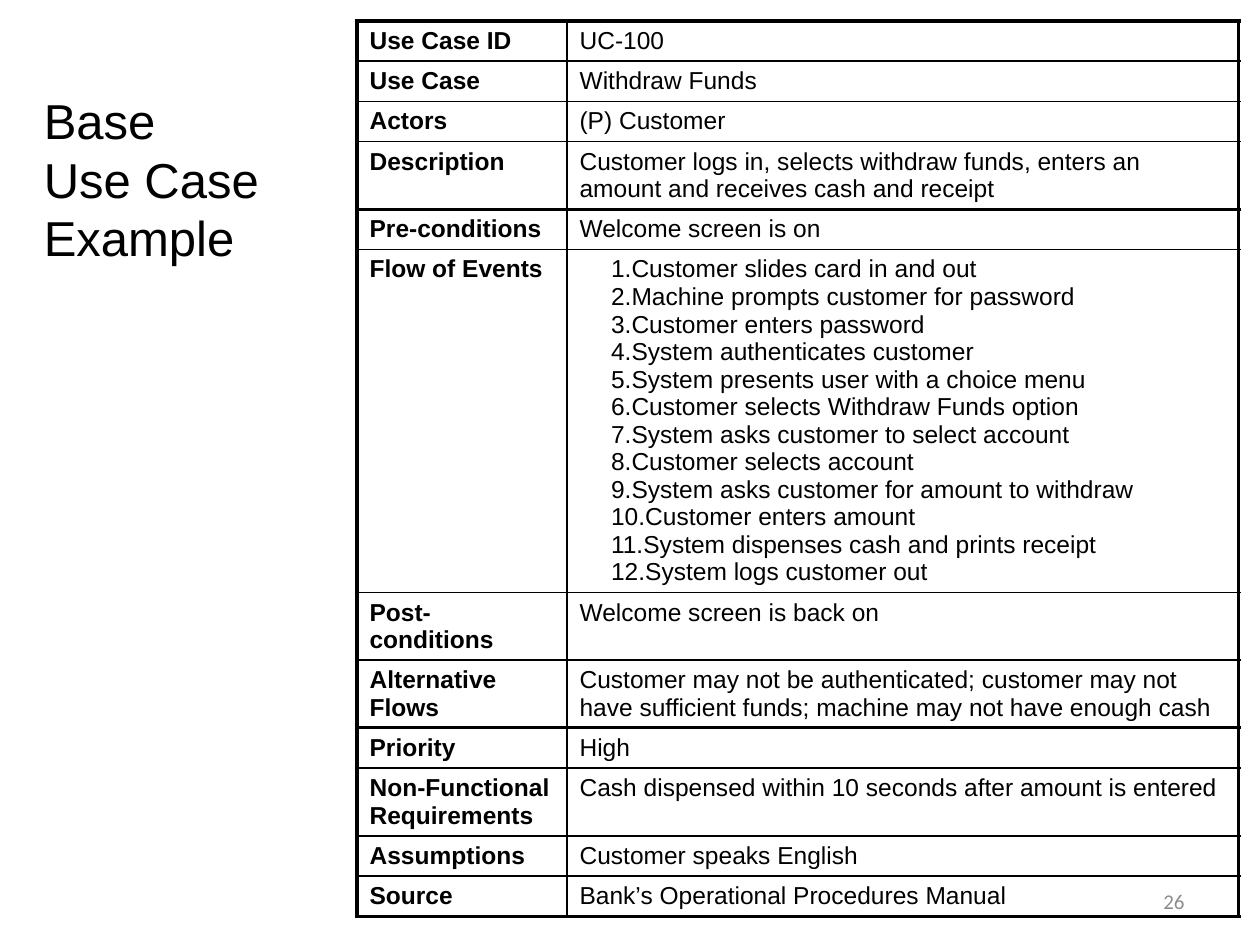
from lxml.etree import SubElement
from pptx import Presentation
from pptx.dml.color import RGBColor
from pptx.enum.text import MSO_ANCHOR, PP_ALIGN
from pptx.oxml import parse_xml
from pptx.oxml.ns import nsdecls, qn
from pptx.util import Inches, Pt

COLORS = {"ink": "000000", "paper": "FFFFFF", "muted": "8C8C8C"}
FORMATS = {
    "title": {"name": "Arial", "size": Pt(28)},
    "label": {"name": "Arial", "size": Pt(14), "bold": True},
    "entry": {"name": "Arial", "size": Pt(14), "bold": False},
    "number": {"name": "Calibri", "size": Pt(12)},
}
UNIT = 1 / 6
THIN, THICK = 1, 2
COLUMN_UNITS = (10, 32)
ROW_UNITS = 1.1

FLOW = [
    "Customer slides card in and out",
    "Machine prompts customer for password",
    "Customer enters password",
    "System authenticates customer",
    "System presents user with a choice menu",
    "Customer selects Withdraw Funds option",
    "System asks customer to select account",
    "Customer selects account",
    "System asks customer for amount to withdraw",
    "Customer enters amount",
    "System dispenses cash and prints receipt",
    "System logs customer out",
]
SECTIONS = [
    [
        ("Use Case ID", "UC-100"),
        ("Use Case", "Withdraw Funds"),
        ("Actors", "(P) Customer"),
        ("Description", "Customer logs in, selects withdraw funds, enters an "
                        "amount and receives cash and receipt"),
    ],
    [
        ("Pre-conditions", "Welcome screen is on"),
        ("Flow of Events", FLOW),
        ("Post-conditions", "Welcome screen is back on"),
        ("Alternative Flows", "Customer may not be authenticated; customer may not "
                              "have sufficient funds; machine may not have enough cash"),
    ],
    [
        ("Priority", "High"),
        ("Non-Functional Requirements",
         "Cash dispensed within 10 seconds after amount is entered"),
        ("Assumptions", "Customer speaks English"),
        ("Source", "Bank’s Operational Procedures Manual"),
    ],
]


def grid(*units):
    return [Inches(unit * UNIT) for unit in units]


def style_font(font, style, color="ink"):
    for attribute, value in FORMATS[style].items():
        setattr(font, attribute, value)
    font.color.rgb = RGBColor.from_string(COLORS[color])


def add_text(slide, place, text, style, color="ink", align=PP_ALIGN.LEFT):
    box = slide.shapes.add_textbox(*grid(*place))
    frame = box.text_frame
    frame.word_wrap = True
    frame.vertical_anchor = MSO_ANCHOR.MIDDLE
    para = frame.paragraphs[0]
    para.text = text
    para.alignment = align
    style_font(para.font, style, color)
    for span in para.runs:
        style_font(span.font, style, color)


def number_paragraph(para):
    indent = Inches(0.25)
    properties = para._p.get_or_add_pPr()
    properties.set("marL", "0")
    properties.set("indent", str(indent))
    SubElement(properties, qn("a:buFont"), typeface="+mj-lt")
    SubElement(properties, qn("a:buAutoNum"), type="arabicPeriod")
    tabs = SubElement(properties, qn("a:tabLst"))
    SubElement(tabs, qn("a:tab"), pos=str(indent), algn="l")


def set_borders(cell, widths):
    properties = cell._tc.get_or_add_tcPr()
    for index, (side, width) in enumerate(zip("LRTB", widths)):
        line = parse_xml(
            f'<a:ln{side} {nsdecls("a")} w="{Pt(width)}"><a:solidFill>'
            f'<a:srgbClr val="{COLORS["ink"]}"/></a:solidFill></a:ln{side}>'
        )
        properties.insert(index, line)


def fill_cell(cell, content, style, widths):
    cell.fill.solid()
    cell.fill.fore_color.rgb = RGBColor.from_string(COLORS["paper"])
    set_borders(cell, widths)
    numbered = isinstance(content, list)
    lines = content if numbered else [content]
    frame = cell.text_frame
    for index, line in enumerate(lines):
        para = frame.add_paragraph() if index else frame.paragraphs[0]
        if numbered:
            number_paragraph(para)
        span = para.add_run()
        span.text = line
        style_font(para.font, style)
        style_font(span.font, style)


def add_use_case_table(slide, left, top):
    count = sum(len(section) for section in SECTIONS)
    place = grid(left, top, sum(COLUMN_UNITS), count * ROW_UNITS)
    table = slide.shapes.add_table(count, len(COLUMN_UNITS), *place).table
    table.first_row = table.horz_banding = False
    for column, width in zip(table.columns, grid(*COLUMN_UNITS)):
        column.width = width
    rows = iter(table.rows)
    for section in SECTIONS:
        for index, (label, entry) in enumerate(section):
            row = next(rows)
            row.height = grid(ROW_UNITS)[0]
            above = THIN if index else THICK
            below = THICK if index == len(section) - 1 else THIN
            fill_cell(row.cells[0], label, "label", (THICK, THIN, above, below))
            fill_cell(row.cells[1], entry, "entry", (THIN, THICK, above, below))


def main():
    deck = Presentation()
    deck.slide_width, deck.slide_height = grid(60, 45)
    slide = deck.slides.add_slide(deck.slide_layouts[6])
    add_use_case_table(slide, 17, 1)
    add_text(slide, (1.5, 3, 14.5, 11), "Base\vUse Case Example", "title")
    add_text(slide, (43, 41.7, 14, 2.4), "26", "number", "muted", PP_ALIGN.RIGHT)
    deck.save("out.pptx")


if __name__ == "__main__":
    main()
